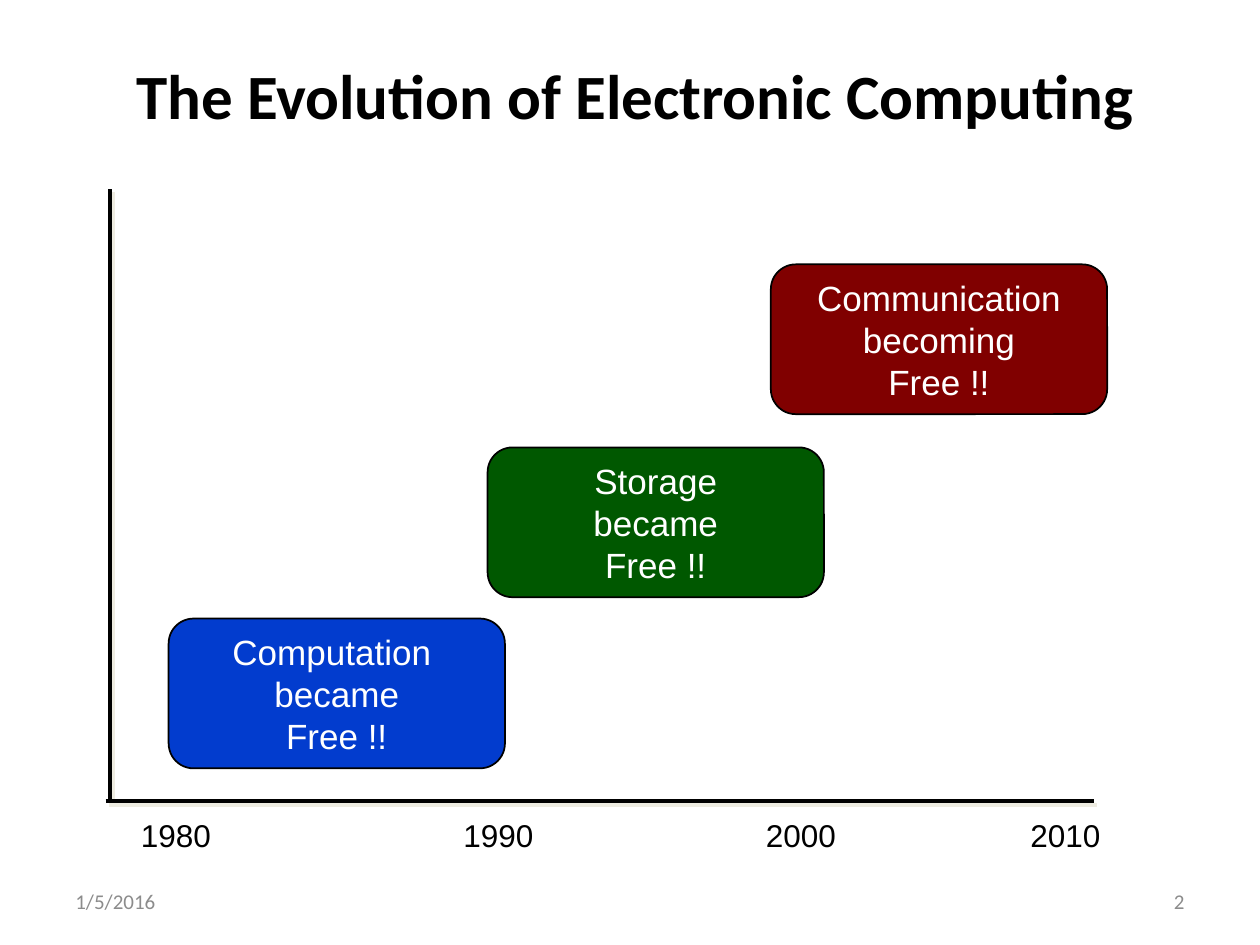
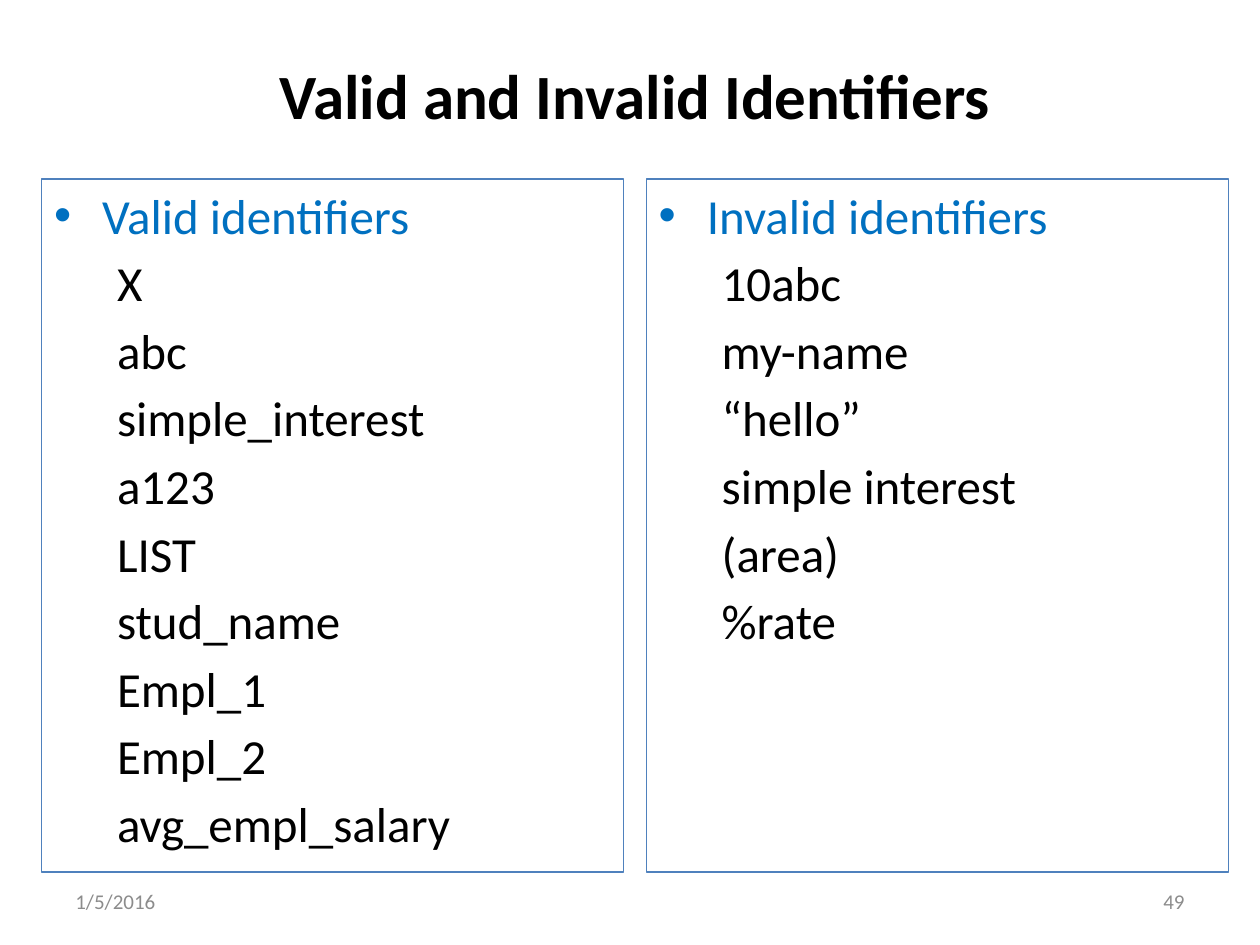
from lxml import etree
from pptx import Presentation
from pptx import util as u
from pptx.dml.color import RGBColor
from pptx.enum import shapes, text
from pptx.oxml import ns

BLACK = RGBColor(0x00, 0x00, 0x00)
WHITE = RGBColor(0xFF, 0xFF, 0xFF)
GREY = RGBColor(0x8C, 0x8C, 0x8C)
CREAM = RGBColor(0xEE, 0xEC, 0xE1)
BLUE = RGBColor(0x02, 0x3C, 0xCE)
GREEN = RGBColor(0x00, 0x58, 0x00)
MAROON = RGBColor(0x80, 0x00, 0x00)
HEADING_BLUE = RGBColor(0x00, 0x70, 0xC0)
FRAME_BLUE = RGBColor(0x4F, 0x81, 0xBD)

LEFT, CENTER, RIGHT = text.PP_ALIGN.LEFT, text.PP_ALIGN.CENTER, text.PP_ALIGN.RIGHT


def add_child(parent, tag, **attributes):
    child = etree.SubElement(parent, ns.qn(tag))
    for name, value in attributes.items():
        child.set(name, str(value))
    return child


class Slides:
    heading_font = "Calibri"
    diagram_font = "Arial"

    def __init__(self):
        self.deck = Presentation()
        self.deck.slide_width = u.Cm(25.4)
        self.deck.slide_height = u.Cm(19.05)
        self.page = None

    def start_page(self, title, number):
        self.page = self.deck.slides.add_slide(self.deck.slide_layouts[6])
        self.label(title, (0.84, 0.84, 23.93, 2.11), 36, BLACK, CENTER, bold=True)
        self.label("1/5/2016", (1.27, 17.65, 5.92, 1.02), 12, GREY)
        self.label(str(number), (18.21, 17.65, 5.92, 1.02), 12, GREY, RIGHT)

    def add_words(self, para, words, font, size, color, align=LEFT, bold=False):
        para.alignment = align
        span = para.add_run()
        span.text = words
        span.font.name = font
        span.font.size = u.Pt(size)
        span.font.bold = bold
        span.font.color.rgb = color

    def label(self, words, place, size, color, align=LEFT, bold=False):
        box = self.page.shapes.add_textbox(*map(u.Cm, place))
        frame = box.text_frame
        frame.word_wrap = True
        frame.vertical_anchor = text.MSO_ANCHOR.MIDDLE
        self.add_words(frame.paragraphs[0], words, self.heading_font, size, color, align, bold)

    def year(self, words, left):
        box = self.page.shapes.add_textbox(u.Cm(left), u.Cm(16.33), u.Cm(1.93), u.Cm(1.02))
        frame = box.text_frame
        frame.word_wrap = False
        frame.auto_size = text.MSO_AUTO_SIZE.SHAPE_TO_FIT_TEXT
        self.add_words(frame.paragraphs[0], words, self.diagram_font, 18, BLACK)

    def axis(self, *ends):
        line = self.page.shapes.add_connector(
            shapes.MSO_CONNECTOR.STRAIGHT, *map(u.Cm, ends))
        line.line.color.rgb = BLACK
        line.line.width = u.Pt(2.25)
        effects = add_child(line._element.spPr, "a:effectLst")
        shadow = add_child(effects, "a:outerShdw", dist=u.Pt(2.8), dir=45 * 60000,
                           algn="ctr", rotWithShape=0)
        add_child(shadow, "a:srgbClr", val=CREAM)

    def outlined(self, kind, place, line_color, line_width):
        box = self.page.shapes.add_shape(kind, *map(u.Cm, place))
        box.shadow.inherit = False
        box.line.color.rgb = line_color
        box.line.width = u.Pt(line_width)
        return box

    def card(self, lines, left, top, color):
        box = self.outlined(shapes.MSO_SHAPE.ROUNDED_RECTANGLE,
                            (left, top, 6.78, 3.02), BLACK, 1)
        box.fill.solid()
        box.fill.fore_color.rgb = color
        frame = box.text_frame
        frame.word_wrap = False
        frame.vertical_anchor = text.MSO_ANCHOR.MIDDLE
        for index, words in enumerate(lines):
            para = frame.add_paragraph() if index else frame.paragraphs[0]
            self.add_words(para, words, self.diagram_font, 20, WHITE, CENTER)

    def indent(self, para, margin, hanging, bullet=None):
        properties = para._p.get_or_add_pPr()
        properties.set("marL", str(u.Cm(margin)))
        properties.set("indent", str(-u.Cm(hanging)))
        if bullet:
            add_child(properties, "a:buFont", typeface="Arial")
            add_child(properties, "a:buChar", char=bullet)
        else:
            add_child(properties, "a:buNone")

    def identifier_list(self, heading, names, left):
        box = self.outlined(shapes.MSO_SHAPE.RECTANGLE,
                            (left, 3.61, 11.73, 13.97), FRAME_BLUE, 0.75)
        box.fill.background()
        frame = box.text_frame
        frame.word_wrap = True
        frame.vertical_anchor = text.MSO_ANCHOR.TOP
        first = frame.paragraphs[0]
        self.indent(first, 0.97, 0.97, "•")
        self.add_words(first, heading, self.heading_font, 28, HEADING_BLUE)
        for name in names:
            para = frame.add_paragraph()
            para.level = 1
            self.indent(para, 2.06, 0.79)
            para.space_before = u.Pt(5)
            self.add_words(para, name, self.heading_font, 28, BLACK)


def main():
    slides = Slides()

    slides.start_page("The Evolution of Electronic Computing", 2)
    slides.axis(2.21, 3.81, 2.21, 16.15)
    slides.axis(2.13, 16.15, 22.05, 16.15)
    for words, left in (("1980", 2.59), ("1990", 9.09), ("2000", 15.19), ("2010", 20.52)):
        slides.year(words, left)
    slides.card(("Computation ", "became", "Free !!"), 3.4, 12.47, BLUE)
    slides.card(("Storage", "became", "Free !!"), 9.83, 9.02, GREEN)
    slides.card(("Communication", "becoming", "Free !!"), 15.54, 5.33, MAROON)

    slides.start_page("Valid and Invalid Identifiers", 49)
    slides.identifier_list(
        "Valid identifiers",
        ("X", "abc", "simple_interest", "a123", "LIST", "stud_name",
         "Empl_1", "Empl_2", "avg_empl_salary"), 0.84)
    slides.identifier_list(
        "Invalid identifiers",
        ("10abc", "my-name", "“hello”", "simple interest", "(area)", "%rate"), 13.03)

    slides.deck.save("out.pptx")


if __name__ == "__main__":
    main()
